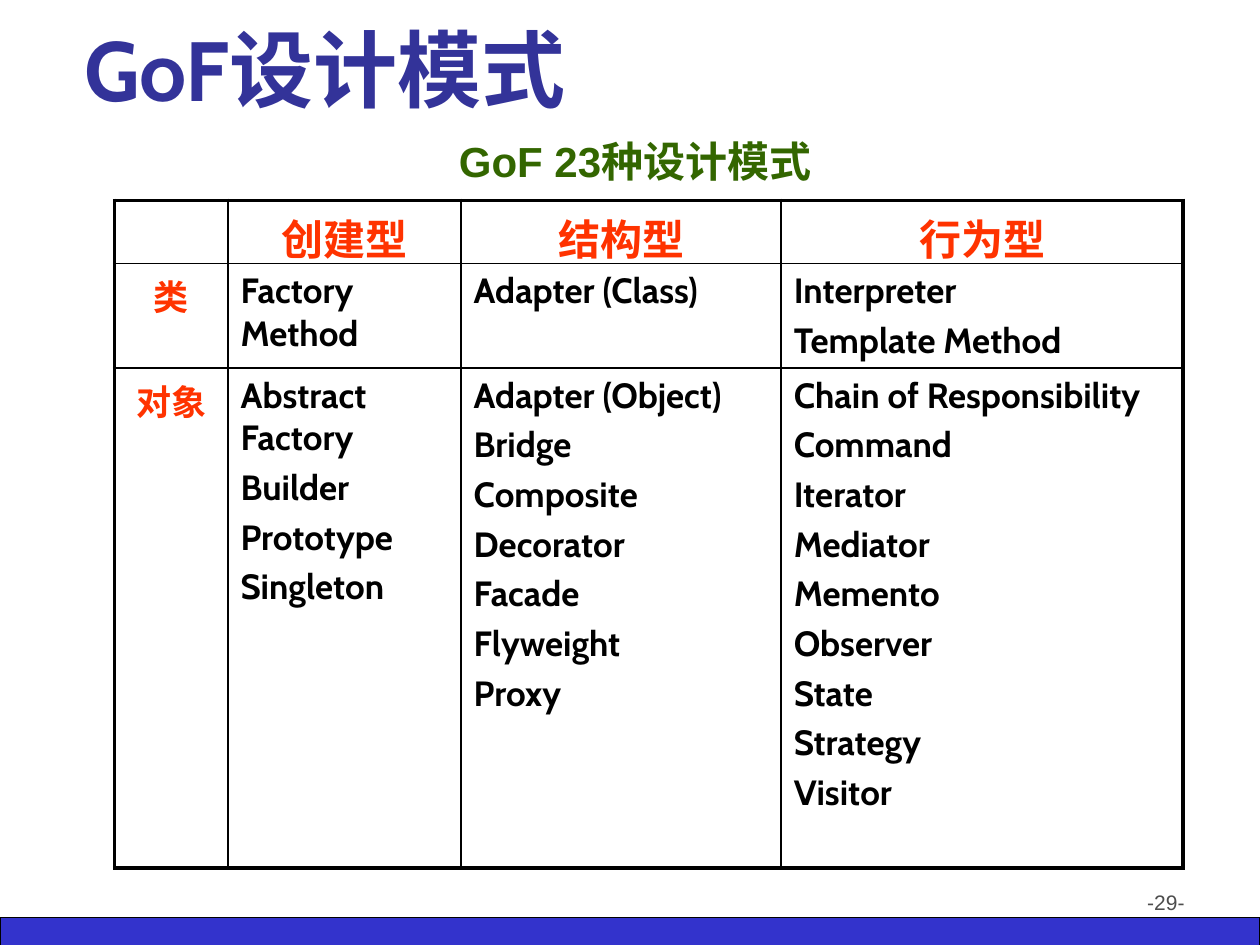
from dataclasses import dataclass

from lxml.etree import SubElement
from pptx import Presentation
from pptx.dml.color import RGBColor
from pptx.enum.shapes import MSO_SHAPE
from pptx.enum.text import MSO_ANCHOR, MSO_AUTO_SIZE, PP_ALIGN
from pptx.oxml.ns import qn
from pptx.util import Inches, Pt


@dataclass(frozen=True)
class Theme:
    face: str = "Cabin"
    plain: str = "Arial"
    ink: str = "000000"
    title: str = "333399"
    head: str = "FF3300"
    green: str = "336600"
    gray: str = "4D4D4D"
    bar: str = "3333CC"
    big: int = 48
    mid: int = 24
    body: int = 20
    small: int = 12
    thin: float = 1
    thick: float = 2.25


class Deck:
    def __init__(self, theme):
        self.theme = theme
        self.prs = Presentation()
        self.prs.slide_width = Inches(10)
        self.prs.slide_height = Inches(7.5)
        self.slide = self.prs.slides.add_slide(self.prs.slide_layouts[5])

    def fill_text(self, frame, text, size, color, face, bold=True, align=PP_ALIGN.LEFT):
        """Fill a frame, one paragraph per line, spaced by 20% of the type size."""
        frame.text = text
        for i, para in enumerate(frame.paragraphs):
            para.alignment = align
            para.space_before = Pt(size * 0.2 if i else 0)
            for run in para.runs:
                font = run.font
                font.size, font.name, font.bold = Pt(size), face, bold
                font.color.rgb = RGBColor.from_string(color)

    def title(self, text, box):
        shape = self.slide.shapes.title
        shape.left, shape.top, shape.width, shape.height = map(Inches, box)
        frame = shape.text_frame
        frame.auto_size = MSO_AUTO_SIZE.NONE
        frame.vertical_anchor = MSO_ANCHOR.BOTTOM
        self.fill_text(frame, text, self.theme.big, self.theme.title, self.theme.face)

    def label(self, text, box, size, color, **style):
        frame = self.slide.shapes.add_textbox(*map(Inches, box)).text_frame
        frame.word_wrap = True
        self.fill_text(frame, text, size, color, self.theme.plain, **style)

    def bar(self, box):
        shape = self.slide.shapes.add_shape(MSO_SHAPE.RECTANGLE, *map(Inches, box))
        shape.shadow.inherit = False
        shape.fill.solid()
        shape.fill.fore_color.rgb = RGBColor.from_string(self.theme.bar)
        shape.line.color.rgb = RGBColor.from_string(self.theme.ink)
        shape.line.width = Pt(0.75)

    def border(self, cell, edges):
        """Draw the cell's sides, thick where the side is on the table's edge."""
        props = cell._tc.get_or_add_tcPr()
        for i, (side, outer) in enumerate(edges.items()):
            width = self.theme.thick if outer else self.theme.thin
            line = SubElement(props, qn("a:" + side), w=str(Pt(width)))
            fill = SubElement(line, qn("a:solidFill"))
            SubElement(fill, qn("a:srgbClr"), val=self.theme.ink)
            props.remove(line)
            props.insert(i, line)

    def table(self, rows, spot, widths, heights):
        theme = self.theme
        size = sum(widths), sum(heights)
        table = self.slide.shapes.add_table(
            len(rows), len(widths), *map(Inches, (*spot, *size))).table
        table.first_row = table.horz_banding = False
        for col, width in zip(table.columns, widths):
            col.width = Inches(width)
        for row, height in zip(table.rows, heights):
            row.height = Inches(height)
        for r, row in enumerate(rows):
            for c, text in enumerate(row):
                cell = table.cell(r, c)
                cell.fill.background()
                self.border(cell, {
                    "lnL": c == 0, "lnR": c == len(widths) - 1,
                    "lnT": r == 0, "lnB": r == len(rows) - 1})
                if not text:
                    continue
                head = r == 0 or c == 0
                self.fill_text(
                    cell.text_frame, text,
                    theme.body if r else theme.mid,
                    theme.head if head else theme.ink, theme.face,
                    align=PP_ALIGN.CENTER if head else PP_ALIGN.LEFT)


ROWS = [
    ["", "创建型", "结构型", "行为型"],
    ["类", "Factory Method", "Adapter (Class)", "Interpreter\nTemplate Method"],
    ["对象",
     "Abstract Factory\nBuilder\nPrototype\nSingleton",
     "Adapter (Object)\nBridge\nComposite\nDecorator\nFacade\nFlyweight\nProxy",
     "Chain of Responsibility\nCommand\nIterator\nMediator\nMemento\n"
     "Observer\nState\nStrategy\nVisitor"],
]


def main():
    theme = Theme()
    deck = Deck(theme)

    # Footer bar and page number
    deck.bar((0, 7.28, 10, 0.25))
    deck.label("-29-", (7.17, 7.01, 2.33, 0.52), theme.small, theme.gray,
               bold=False, align=PP_ALIGN.RIGHT)

    # Title
    deck.title("GoF设计模式", (0.57, 0.28, 8.68, 0.71))

    # Pattern table and its caption
    deck.table(ROWS, (0.91, 1.59), (0.9, 1.85, 2.54, 3.19), (0.5, 0.83, 3.97))
    deck.label("GoF 23种设计模式", (0.67, 1.03, 8.74, 0.5), theme.mid, theme.green,
               align=PP_ALIGN.CENTER)

    deck.prs.save("out.pptx")


if __name__ == "__main__":
    main()
